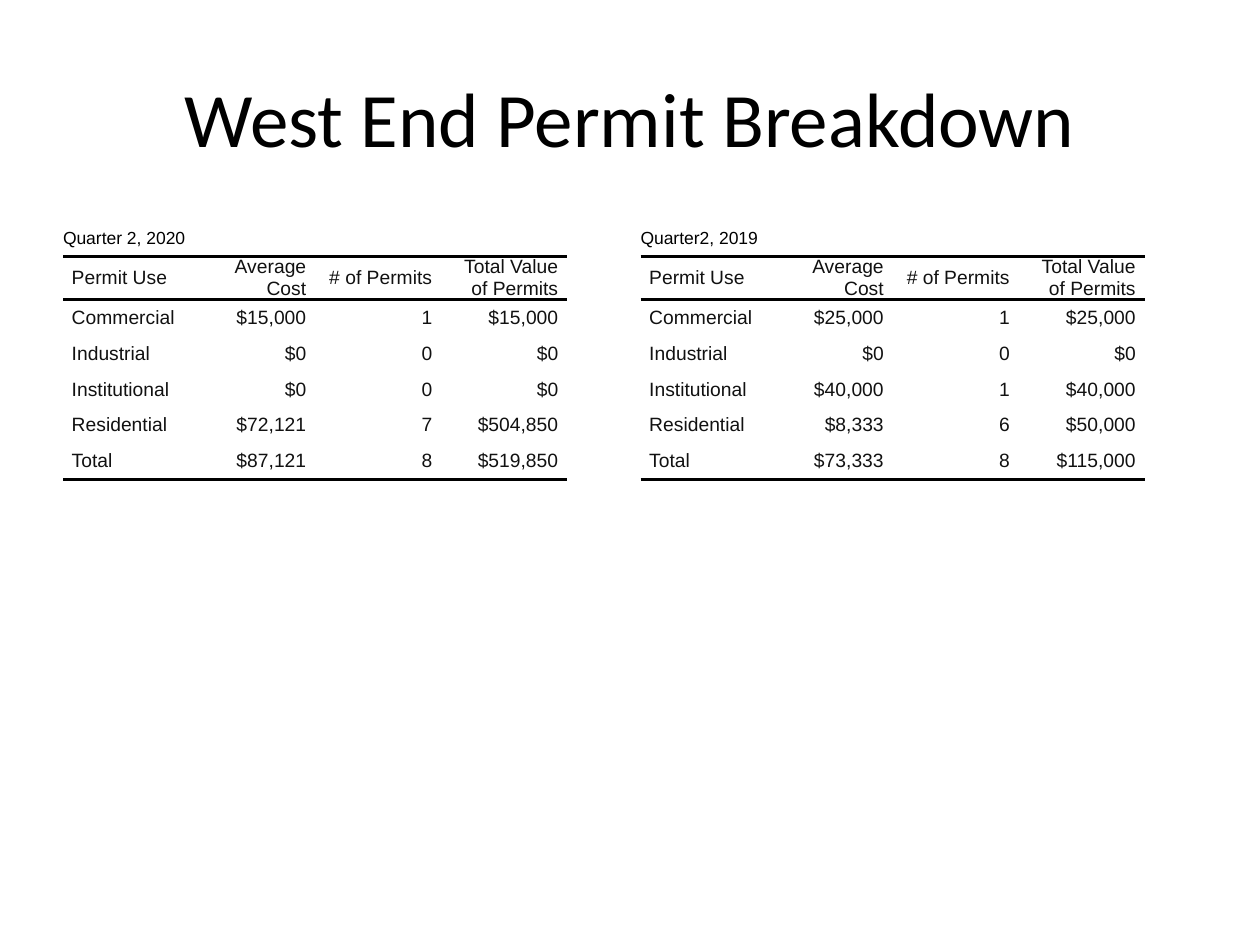
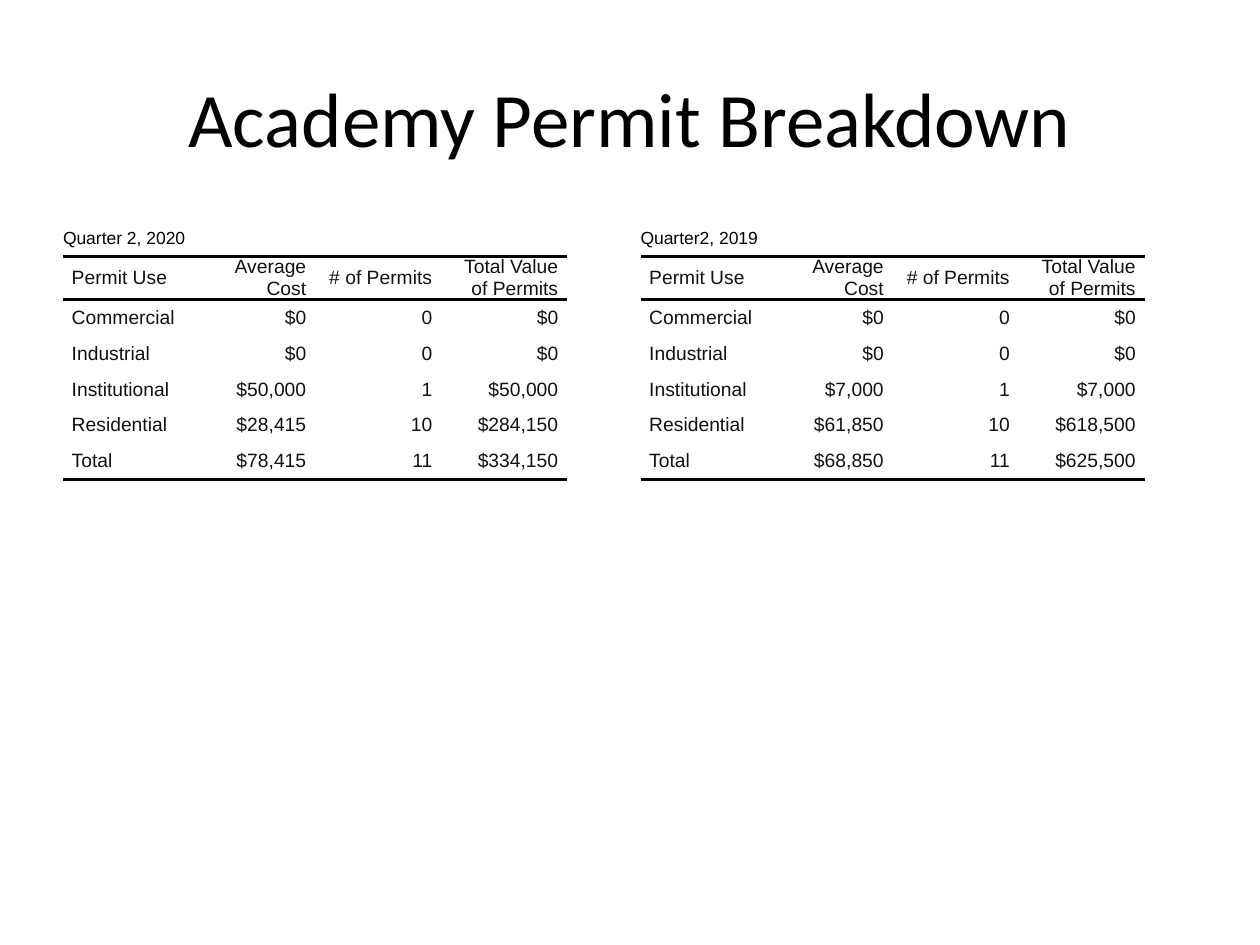
from lxml import etree
from pptx import Presentation
from pptx.dml.color import RGBColor
from pptx.enum.text import MSO_ANCHOR, PP_ALIGN
from pptx.oxml.ns import qn
from pptx.util import Pt

LEFT, RIGHT, CENTER = PP_ALIGN.LEFT, PP_ALIGN.RIGHT, PP_ALIGN.CENTER
MIDDLE = MSO_ANCHOR.MIDDLE
PLAIN = "{2D5ABB26-0587-4C30-8999-92F81FD0307C}"  # no style, no grid
HUES = {"ink": "000000", "cell": "111111"}

# Shared measures
COL, ROW = 72, 20.57
TOP = 126
LEFTS = [36, 366]
PAD = 5
RULE = 2

# Words shared by the tables
DATES = ["Quarter 2, 2020", "Quarter2, 2019"]
HEADS = ["Permit Use", "Average Cost", "# of Permits", "Total Value of Permits"]
USES = ["Commercial", "Industrial", "Institutional", "Residential", "Total"]

# Per slide: title, then cost, count and value by use for each date
PAGES = [
    ("West End Permit Breakdown", [
        [("$15,000", "1", "$15,000"), ("$0", "0", "$0"), ("$0", "0", "$0"),
         ("$72,121", "7", "$504,850"), ("$87,121", "8", "$519,850")],
        [("$25,000", "1", "$25,000"), ("$0", "0", "$0"), ("$40,000", "1", "$40,000"),
         ("$8,333", "6", "$50,000"), ("$73,333", "8", "$115,000")],
    ]),
    ("Academy Permit Breakdown", [
        [("$0", "0", "$0"), ("$0", "0", "$0"), ("$50,000", "1", "$50,000"),
         ("$28,415", "10", "$284,150"), ("$78,415", "11", "$334,150")],
        [("$0", "0", "$0"), ("$0", "0", "$0"), ("$7,000", "1", "$7,000"),
         ("$61,850", "10", "$618,500"), ("$68,850", "11", "$625,500")],
    ]),
]


def write(frame, text, size=11, font="Arial", hue="cell", align=LEFT, pad=0, after=0):
    para = frame.paragraphs[0]
    para.alignment = align
    para.space_after = Pt(after)
    if pad:
        props = para._p.get_or_add_pPr()
        for side in ("marL", "marR"):
            props.set(side, str(Pt(pad)))
    run = para.add_run()
    run.text = text
    run.font.size = Pt(size)
    run.font.name = font
    run.font.color.rgb = RGBColor.from_string(HUES[hue])


def rule(cell, sides):
    props = cell._tc.get_or_add_tcPr()
    for side in sides:
        line = etree.SubElement(props, qn(f"a:ln{side}"), w=str(Pt(RULE)))
        fill = etree.SubElement(line, qn("a:solidFill"))
        etree.SubElement(fill, qn("a:srgbClr"), val=HUES["ink"])


deck = Presentation()
deck.slide_width, deck.slide_height = Pt(720), Pt(540)

for name, sets in PAGES:
    slide = deck.slides.add_slide(deck.slide_layouts[5])

    # Title
    title = slide.shapes.title
    title.left, title.top, title.width, title.height = Pt(36), Pt(21.6), Pt(648), Pt(90)
    title.text_frame.vertical_anchor = MIDDLE
    write(title.text_frame, name, size=44, font="Calibri", hue="ink", align=CENTER)

    # One table per quarter
    for left, date, data in zip(LEFTS, DATES, sets):
        rows = [HEADS] + [[use, *vals] for use, vals in zip(USES, data)]
        count = len(rows) + 1
        table = slide.shapes.add_table(count, len(HEADS), Pt(left), Pt(TOP),
                                       Pt(COL * len(HEADS)), Pt(ROW * count)).table
        table.first_row = table.horz_banding = False
        table._tbl.tblPr.find(qn("a:tableStyleId")).text = PLAIN

        # Date across the top
        table.cell(0, 0).merge(table.cell(0, len(HEADS) - 1))
        write(table.cell(0, 0).text_frame, date, size=10, hue="ink")

        # Header, uses and total
        for r, row in enumerate(rows, 1):
            sides = {1: "TB", count - 1: "B"}.get(r, "")
            for c, text in enumerate(row):
                cell = table.cell(r, c)
                write(cell.text_frame, text, align=RIGHT if c else LEFT, pad=PAD, after=2)
                rule(cell, sides)

        for cell in table.iter_cells():
            cell.margin_left = cell.margin_right = Pt(0)
            cell.margin_top = cell.margin_bottom = Pt(0)
            cell.vertical_anchor = MIDDLE
            cell.fill.background()

deck.save("out.pptx")
